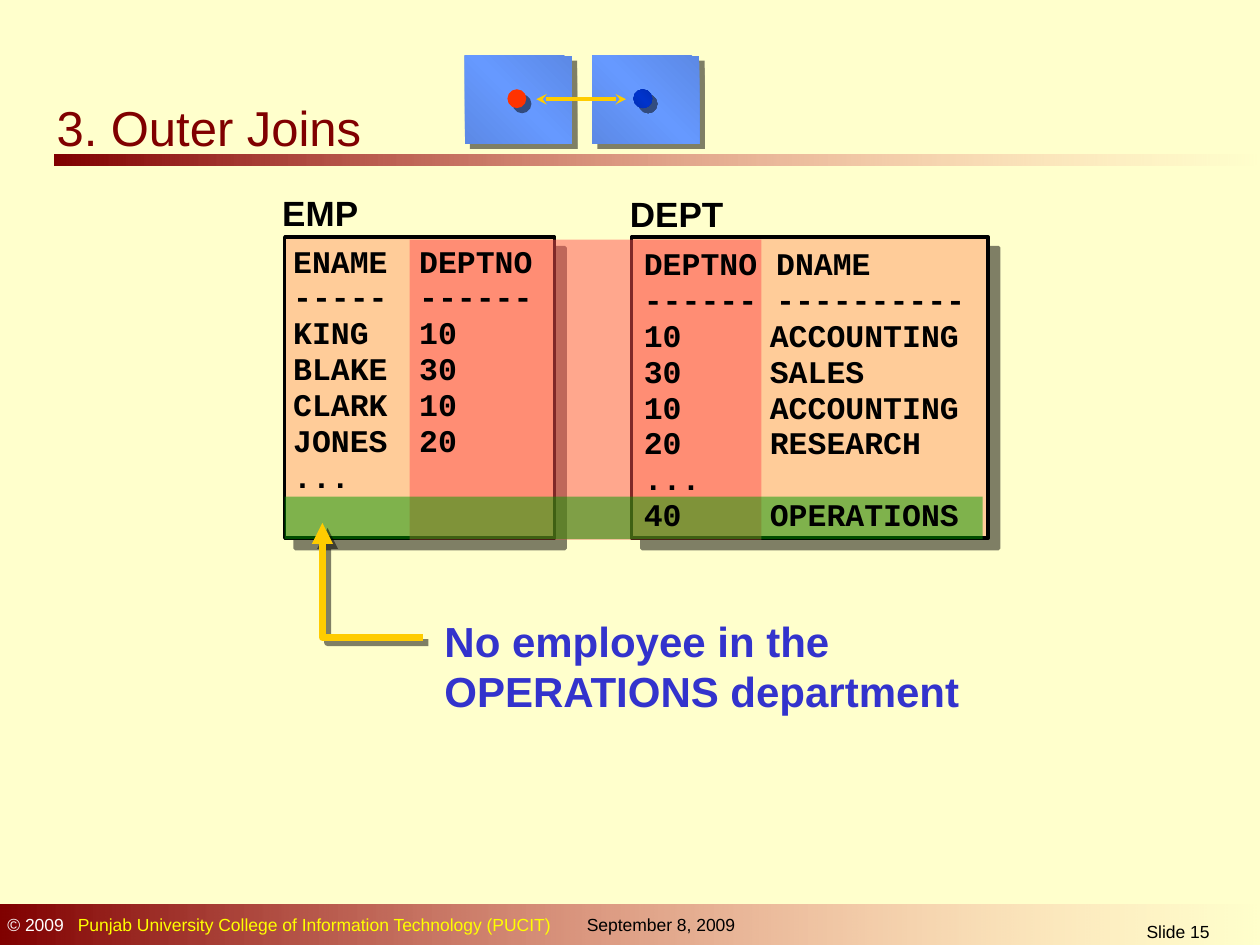
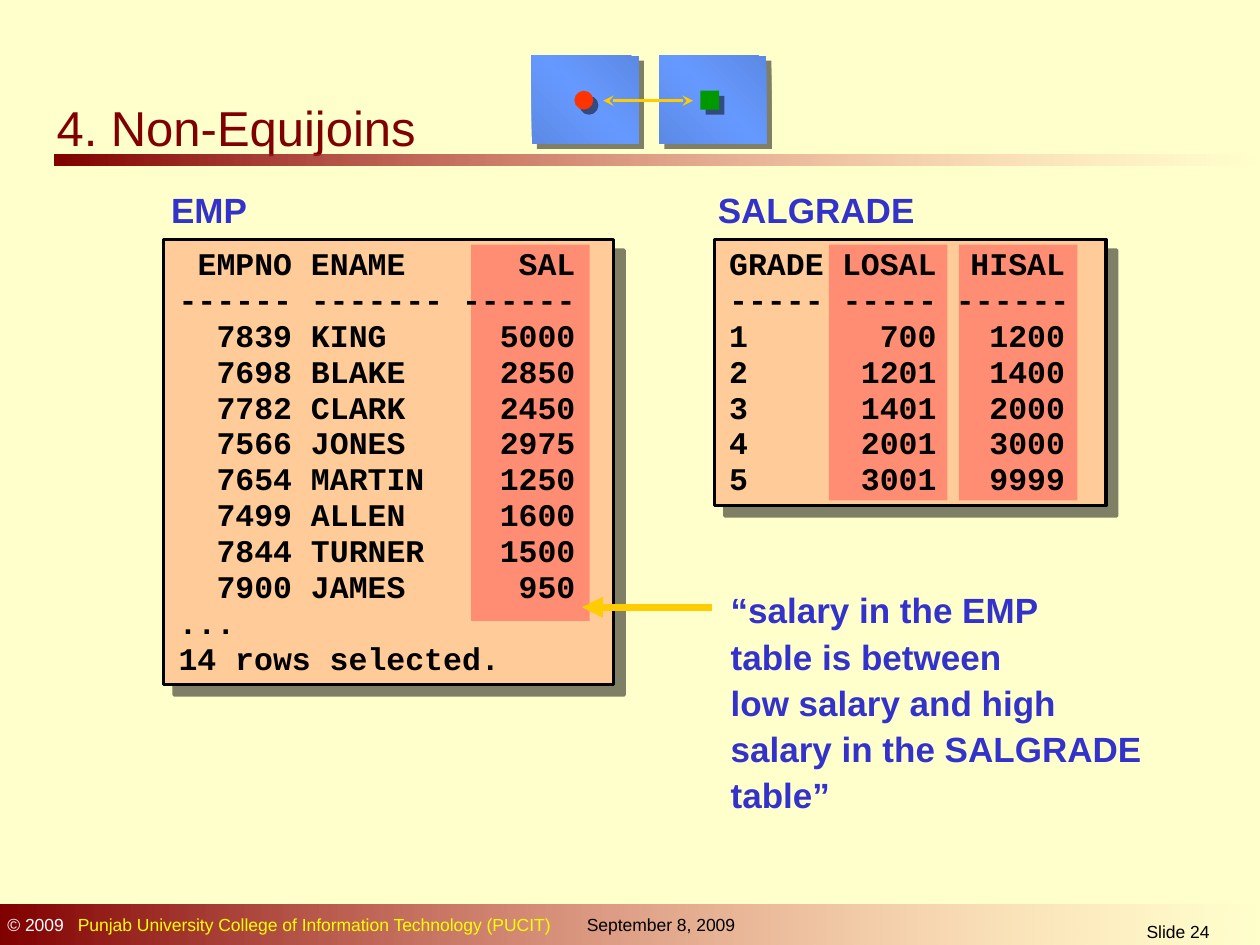
"""Build two slides on outer joins and non-equijoins."""
from lxml.etree import SubElement
from pptx import Presentation
from pptx.dml.color import RGBColor as Rgb
from pptx.enum.shapes import MSO_CONNECTOR as Connector, MSO_SHAPE as Shape
from pptx.enum.text import MSO_ANCHOR as Anchor, MSO_AUTO_SIZE as AutoSize, PP_ALIGN as Align
from pptx.oxml.ns import qn
from pptx.util import Cm, Pt

COLOURS = {
    "paper": "FFFFCC", "maroon": "800000", "blush": "FF8585", "black": "000000",
    "white": "FFFFFF", "yellow": "FFFF00", "indigo": "3333CC", "peach": "FFCC99",
    "red": "FF5050", "green": "009900", "gold": "FFCC00", "orange": "FF3300",
    "sky": "6699FF", "sky edge": "5C89E5", "blue": "0033CC", "blue edge": "002EB7",
}
FADE = [(0, "maroon", 100), (100, "blush", 0)]
SKY = [(0, "sky edge", 100), (50, "sky", 100), (100, "sky edge", 100)]
BLUE = [(0, "blue edge", 100), (50, "blue", 100), (100, "blue edge", 100)]
CODE = {"size": 18, "bold": True, "name": "Courier New", "leading": 0.95}
FRAME = {
    "word_wrap": True, "auto_size": AutoSize.NONE, "vertical_anchor": Anchor.TOP,
    "margin_left": Cm(0.25), "margin_right": Cm(0.25),
    "margin_top": Cm(0.13), "margin_bottom": Cm(0.13),
}


def write(box, lines, size, colour="black", bold=False, name="Arial",
          leading=1, stops=(), align=Align.LEFT):
    """Fill a box; each line is a list of (text, colour) pairs or a plain string."""
    frame = box.text_frame
    for key, value in FRAME.items():
        setattr(frame, key, value)
    for index, line in enumerate(lines):
        para = frame.add_paragraph() if index else frame.paragraphs[0]
        layout = {"alignment": align, "line_spacing": Pt(round(size * 1.2 * leading, 1)),
                  "space_before": Pt(0)}
        for key, value in layout.items():
            setattr(para, key, value)
        if stops:
            tabs = SubElement(para._p.get_or_add_pPr(), qn("a:tabLst"))
            for place, side in stops:
                SubElement(tabs, qn("a:tab"), pos=str(Cm(place)), algn=side)
        for text, tint in [(line, colour)] if isinstance(line, str) else line:
            span = para.add_run()
            span.text = text
            for key, value in {"size": Pt(size), "bold": bold, "name": name}.items():
                setattr(span.font, key, value)
            span.font.color.rgb = Rgb.from_string(COLOURS[tint])


def dress(shape, fill=None, alpha=100, angle=315, line=None, width=0, ends=None, shadow=0):
    """Set fill (a colour or gradient stops), line, arrowheads and shadow."""
    props = shape._element.spPr
    if isinstance(fill, str):
        shape.fill.solid()
        shape.fill.fore_color.rgb = Rgb.from_string(COLOURS[fill])
        if alpha < 100:
            SubElement(props.find(".//" + qn("a:srgbClr")), qn("a:alpha"), val=str(alpha * 1000))
    elif fill:
        gradient = SubElement(props, qn("a:gradFill"), rotWithShape="1")
        stops = SubElement(gradient, qn("a:gsLst"))
        for place, tint, opacity in fill:
            stop = SubElement(stops, qn("a:gs"), pos=str(place * 1000))
            shade = SubElement(stop, qn("a:srgbClr"), val=COLOURS[tint])
            if opacity < 100:
                SubElement(shade, qn("a:alpha"), val=str(opacity * 1000))
        SubElement(gradient, qn("a:lin"), ang=str(angle * 60000), scaled="0")
    if line:
        shape.line.color.rgb = Rgb.from_string(COLOURS[line])
        shape.line.width = Pt(width)
    else:
        shape.line.fill.background()
    for end, kind in (ends or {}).items():
        SubElement(props.find(qn("a:ln")), qn(end), type=kind)
    effects = SubElement(props, qn("a:effectLst"))
    if shadow:
        cast = SubElement(effects, qn("a:outerShdw"), dist=str(Pt(shadow)),
                          dir="2700000", algn="ctr", rotWithShape="0")
        shade = SubElement(cast, qn("a:srgbClr"), val=COLOURS["black"])
        SubElement(shade, qn("a:alpha"), val="50000")


PAGES = [
    {
        "title": "3. Outer Joins", "number": 15, "label colour": "black",
        "cards": [(5.74, 4.78, 5.44, 6.07), (12.73, 4.78, 7.19, 6.07)],
        "labels": [("EMP", 5.44, 3.73), ("DEPT", 12.45, 3.76)],
        "bands": [("red", 8.26, 4.83, 7.09, 6.05), ("green", 5.74, 10.01, 14.07, 0.86)],
        "note": ((8.71, 12.27, 12.95, 2.29), 24, 1,
                 ["No employee in the", "OPERATIONS department"]),
        "arrow": [(8.53, 12.85), (6.5, 12.85), (6.5, 10.54)],
        "listings": [
            ((5.66, 4.78, 5.51, 6.05), [(2.54, "l")],
             ["ENAME\tDEPTNO", "-----\t------", "KING\t10", "BLAKE\t30",
              "CLARK\t10", "JONES\t20", "..."]),
            ((12.73, 4.83, 7.11, 6.05), [(2.54, "l")],
             ["DEPTNO DNAME", "------ ----------", "10\tACCOUNTING", "30\tSALES",
              "10\tACCOUNTING", "20\tRESEARCH", "...", "40\tOPERATIONS"]),
        ],
        "icon": (9.37, 1.8, Shape.OVAL, BLUE),
    },
    {
        "title": "4. Non-Equijoins", "number": 24, "label colour": "indigo",
        "cards": [(3.3, 4.83, 9.07, 8.97), (14.4, 4.83, 7.9, 5.36)],
        "labels": [("EMP", 3.2, 3.68), ("SALGRADE", 14.22, 3.68)],
        "bands": [("red", 9.5, 4.93, 2.39, 7.59), ("red", 16.71, 4.93, 2.39, 5.16),
                  ("red", 19.33, 4.93, 2.39, 5.16)],
        "note": ((14.48, 11.66, 8.81, 4.9), 20, 1.1,
                 ["“salary in the EMP", "table is between", "low salary and high",
                  "salary in the SALGRADE", "table”"]),
        "arrow": [(14.35, 12.24), (11.73, 12.24)],
        "listings": [
            ((3.35, 4.83, 8.99, 8.94), [(2.29, "r"), (2.67, "l"), (8, "r")],
             ["\tEMPNO\tENAME\tSAL", "------ ------- ------", "\t7839\tKING\t5000",
              "\t7698\tBLAKE\t2850", "\t7782\tCLARK\t2450", "\t7566\tJONES\t2975",
              "\t7654\tMARTIN\t1250", "\t7499\tALLEN\t1600", "\t7844\tTURNER\t1500",
              "\t7900\tJAMES\t950", "...", "14 rows selected."]),
            ((14.45, 4.83, 7.85, 5.33), [(4.18, "r"), (6.77, "r")],
             ["GRADE\tLOSAL\tHISAL", "----- ----- ------", "1\t700\t1200",
              "2\t1201\t1400", "3\t1401\t2000", "4\t2001\t3000", "5\t3001\t9999"]),
        ],
        "icon": (10.72, 1.83, Shape.RECTANGLE, "green"),
    },
]

deck = Presentation()
deck.slide_width, deck.slide_height = Cm(25.4), Cm(19.05)
backdrop = deck.slide_master.background.fill
backdrop.solid()
backdrop.fore_color.rgb = Rgb.from_string(COLOURS["paper"])

for content in PAGES:
    page = deck.slides.add_slide(deck.slide_layouts[5])
    shapes = page.shapes

    for place in [(1.09, 3.12, 24.31, 0.22), (0, 18.24, 25.4, 0.81)]:
        dress(shapes.add_shape(Shape.RECTANGLE, *map(Cm, place)), FADE, angle=0)
    footers = [
        ((-0.1, 18.29, 12, 0.69), Align.LEFT,
         [("© 2009\t", "white"),
          ("Punjab University College of Information Technology (PUCIT)", "yellow")]),
        ((11.58, 18.29, 4, 0.69), Align.LEFT, "September 8, 2009"),
        ((22.1, 18.44, 3.3, 0.61), Align.CENTER, f"Slide {content['number']}"),
    ]
    for place, align, line in footers:
        write(shapes.add_textbox(*map(Cm, place)), [line], 10, stops=[(1.42, "l")], align=align)

    title = shapes.title
    for key, value in {"left": 0.89, "top": 1.83, "width": 9.4, "height": 1.4}.items():
        setattr(title, key, Cm(value))
    write(title, [content["title"]], 28, "maroon")

    for place in content["cards"]:
        card = shapes.add_shape(Shape.RECTANGLE, *map(Cm, place))
        dress(card, "peach", line="black", width=2, shadow=8.5)
    for text, left, top in content["labels"]:
        label = shapes.add_textbox(Cm(left), Cm(top), Cm(4.47), Cm(1.09))
        write(label, [text], 20, content["label colour"], bold=True)
    for colour, *place in content["bands"]:
        dress(shapes.add_shape(Shape.RECTANGLE, *map(Cm, place)), colour, alpha=50)

    place, size, leading, lines = content["note"]
    write(shapes.add_textbox(*map(Cm, place)), lines, size, "indigo", bold=True, leading=leading)
    start, *bends = [(Cm(x), Cm(y)) for x, y in content["arrow"]]
    if len(bends) > 1:
        outline = shapes.build_freeform(*start)
        outline.add_line_segments(bends, close=False)
        arrow = outline.convert_to_shape()
        arrow.fill.background()
    else:
        arrow = shapes.add_connector(Connector.STRAIGHT, *start, *bends[0])
    dress(arrow, line="gold", width=4, ends={"a:tailEnd": "triangle"},
          shadow=4.2 if len(bends) > 1 else 0)

    for place, stops, lines in content["listings"]:
        write(shapes.add_textbox(*map(Cm, place)), lines, stops=stops, **CODE)

    left, top, mark, tint = content["icon"]
    for step in (0, 2.57):
        tile = shapes.add_shape(Shape.RECTANGLE, Cm(left + step), Cm(1.12), Cm(2.16), Cm(1.78))
        dress(tile, SKY, shadow=4.2)
    for step, form, fill in [(0.86, Shape.OVAL, "orange"), (3.4, mark, tint)]:
        dot = shapes.add_shape(form, Cm(left + step), Cm(top), Cm(0.38), Cm(0.38))
        dress(dot, fill, shadow=4.2)
    link = shapes.add_connector(Connector.STRAIGHT, Cm(left + 1.44), Cm(top + 0.2),
                                Cm(left + 3.25), Cm(top + 0.2))
    dress(link, line="gold", width=2, ends={"a:headEnd": "stealth", "a:tailEnd": "stealth"})

deck.save("out.pptx")
